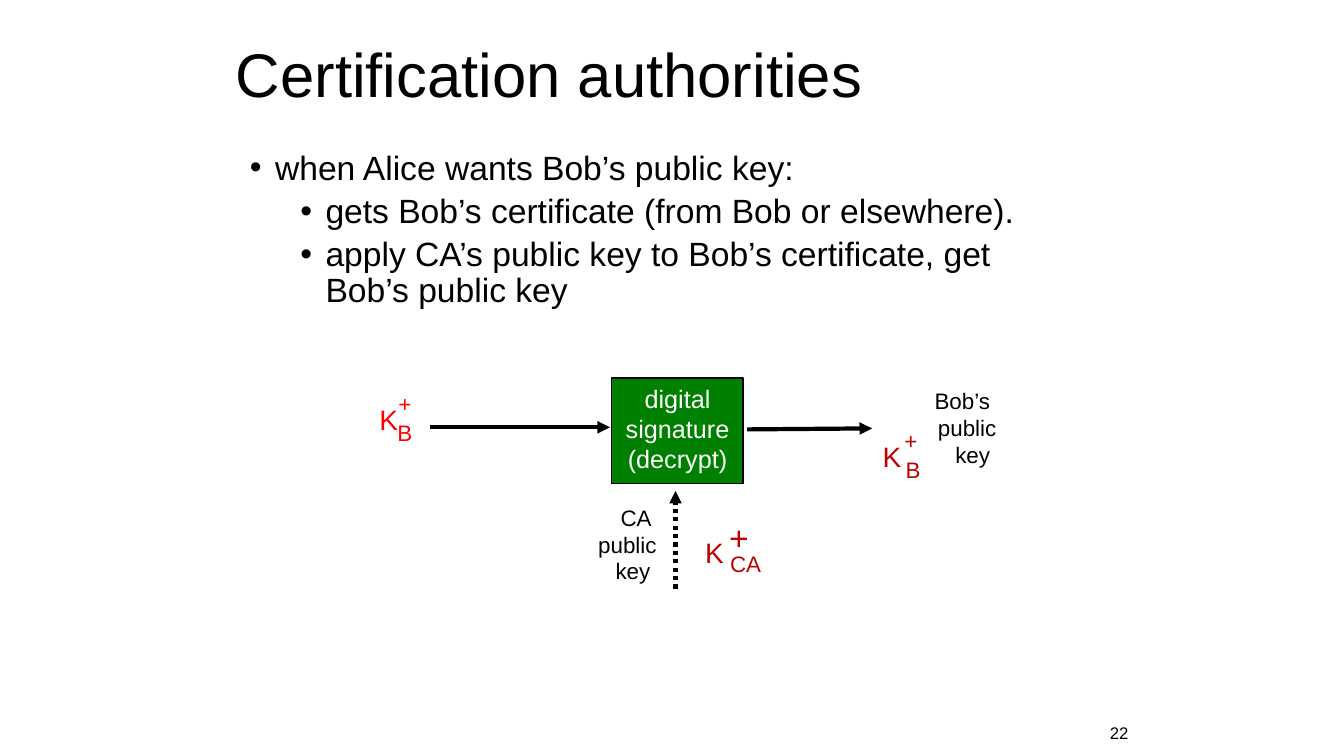
"""Build the slide on certification authorities."""
from lxml import etree
from pptx import Presentation, util as u
from pptx.dml.color import RGBColor
from pptx.enum import dml, shapes, text
from pptx.oxml.ns import qn

COLORS = {"black": "000000", "white": "FFFFFF", "green": "008000",
          "red": "FF0000", "dark red": "C00000"}
LEFT, CENTER, RIGHT = text.PP_ALIGN.LEFT, text.PP_ALIGN.CENTER, text.PP_ALIGN.RIGHT


def color(name):
    return RGBColor.from_string(COLORS[name])


def write(box, lines, size, ink="black", align=LEFT, wrap=True):
    frame = box.text_frame
    frame.word_wrap = wrap
    frame.vertical_anchor = text.MSO_ANCHOR.TOP
    frame.text = "\n".join(lines)
    for paragraph in frame.paragraphs:
        paragraph.alignment = align
        paragraph.font.size = u.Pt(size)
        paragraph.font.name = "Arial"
        paragraph.font.color.rgb = color(ink)
    return frame


deck = Presentation()
deck.slide_width, deck.slide_height = u.Inches(13.33), u.Inches(7.5)
slide = deck.slides.add_slide(deck.slide_layouts[6])
parts = slide.shapes

title = write(parts.add_textbox(u.Inches(2.24), u.Inches(0.14), u.Inches(6.89), u.Inches(1.25)),
              ["Certification authorities"], 44)
title.vertical_anchor = text.MSO_ANCHOR.MIDDLE
title.paragraphs[0].line_spacing = 0.9

steps = [(0, "when Alice wants Bob’s public key:"),
         (1, "gets Bob’s certificate (from Bob or elsewhere)."),
         (1, "apply CA’s public key to Bob’s certificate, get Bob’s public key")]
body = parts.add_textbox(u.Inches(2.38), u.Inches(1.45), u.Inches(8.45), u.Inches(5.08)).text_frame
body.word_wrap = True
for index, (level, step) in enumerate(steps):
    item = body.add_paragraph() if index else body.paragraphs[0]
    item.text = step
    item.level = level
    item.line_spacing = 0.9
    item.space_before = u.Pt(5 if index else 0)
    properties = item._p.get_or_add_pPr()
    properties.set("marL", str(u.Inches(0.25 + 0.5 * level)))
    properties.set("indent", str(u.Inches(-0.25)))
    etree.SubElement(properties, qn("a:buFont"), typeface="Arial")
    etree.SubElement(properties, qn("a:buChar"), char="•")
    item.font.size = u.Pt(24)
    item.font.name = "Arial"
    item.font.color.rgb = color("black")

decrypt = parts.add_shape(shapes.MSO_SHAPE.RECTANGLE, u.Inches(6.07), u.Inches(3.75),
                          u.Inches(1.3), u.Inches(1.05))
decrypt.shadow.inherit = False
decrypt.fill.solid()
decrypt.fill.fore_color.rgb = color("green")
decrypt.line.color.rgb = color("black")
decrypt.line.width = u.Pt(0.75)
write(decrypt, ["digital", "signature", "(decrypt)"], 18, "white", CENTER, wrap=False)

for left, top, owner in [(8.93, 3.79, "Bob’s "), (5.56, 4.95, "CA ")]:
    key_label = parts.add_textbox(u.Inches(left), u.Inches(top), u.Inches(1.05), u.Inches(0.9))
    write(key_label, [owner, "public", "key "], 16, align=RIGHT)

key_symbols = [
    ("red", [("K ", 20, 3.66, 3.94, 0.47, 0.44), ("B", 16, 3.84, 4.11, 0.35, 0.37),
             ("+", 16, 3.85, 3.82, 0.33, 0.37)]),
    ("dark red", [("K ", 20, 8.65, 4.31, 0.47, 0.44), ("B", 16, 8.88, 4.48, 0.35, 0.37),
                  ("+", 16, 8.87, 4.19, 0.33, 0.37)]),
    ("dark red", [("K ", 20, 6.89, 5.26, 0.47, 0.44), ("CA", 16, 7.14, 5.41, 0.51, 0.37),
                  ("+", 24, 7.13, 5.08, 0.4, 0.51)]),
]
for ink, glyphs in key_symbols:
    for glyph, size, *place in glyphs:
        write(parts.add_textbox(*map(u.Inches, place)), [glyph], size, ink, CENTER, wrap=False)

flows = [((6.7, 5.84, 6.7, 4.87), True),
         ((4.27, 4.24, 6.05, 4.24), False),
         ((7.41, 4.26, 8.65, 4.25), False)]
for ends, dotted in flows:
    flow = parts.add_connector(shapes.MSO_CONNECTOR.STRAIGHT, *map(u.Inches, ends))
    flow.line.color.rgb = color("black")
    flow.line.width = u.Pt(3)
    if dotted:
        flow.line.dash_style = dml.MSO_LINE.ROUND_DOT
    etree.SubElement(flow.line._get_or_add_ln(), qn("a:tailEnd"), type="triangle")
    etree.SubElement(flow._element.spPr, qn("a:effectLst"))

page_number = parts.add_textbox(u.Inches(10.91), u.Inches(7.12), u.Inches(0.75), u.Inches(0.3))
write(page_number, ["22"], 12)

deck.save("out.pptx")
